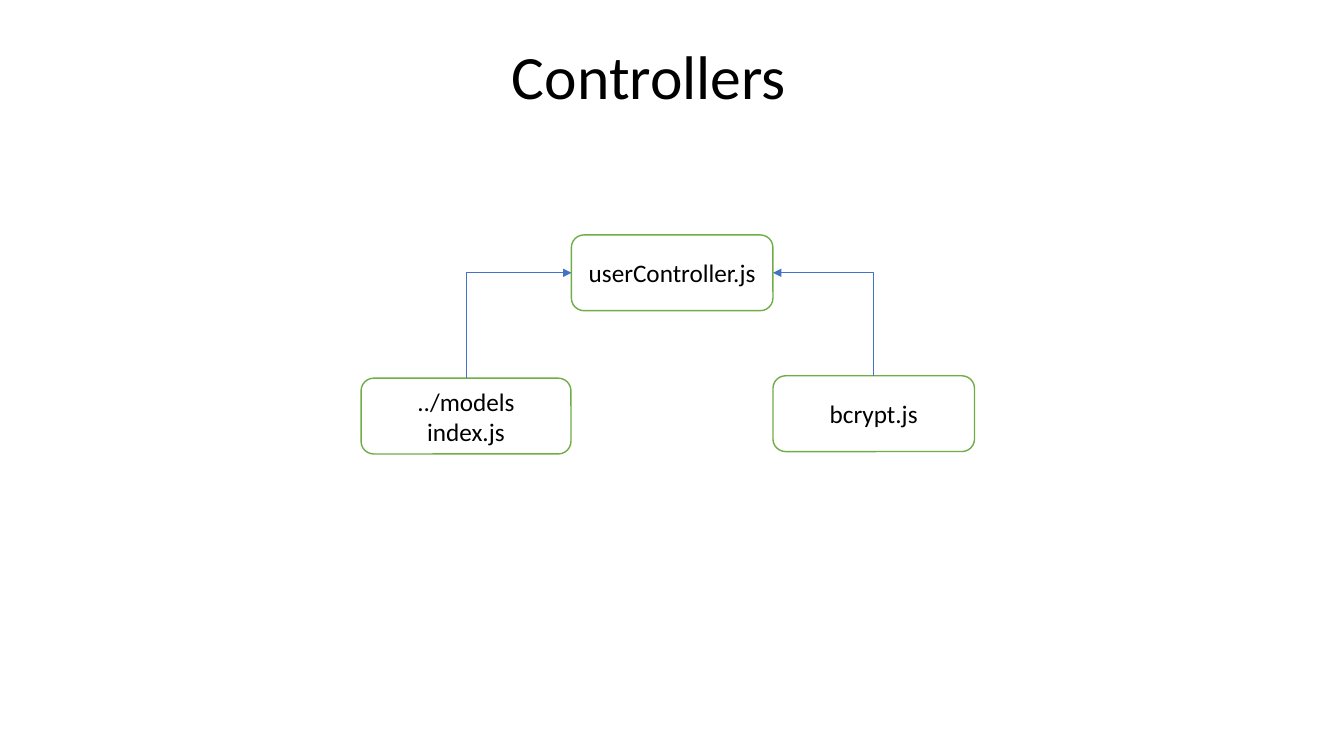
import pptx
import pptx.util
import pptx.dml.color
import pptx.enum.shapes
import pptx.enum.text
import pptx.oxml
import pptx.oxml.ns

Cm = pptx.util.Cm
Pt = pptx.util.Pt

# Content: lengths in cm
HEADING = "Controllers"
HEADING_BOX = (2.34, 1.02, 28.04, 1.98)
MODULE_HEIGHT = 1.91
MODULES = {  # text, left, top, width
    "controller": ("userController.js", 14.4, 5.92, 5.08),
    "models": ("../models\vindex.js", 9.1, 9.53, 5.29),
    "bcrypt": ("bcrypt.js", 19.48, 9.47, 5.08),
}
TOP, LEFT, RIGHT = 0, 1, 3  # connection sites of a module box
IMPORTS = [  # imported module, site on the controller, rotation, flips
    ("models", LEFT, 90, {"flipH": "1", "flipV": "1"}),
    ("bcrypt", RIGHT, 270, {"flipV": "1"}),
]
FONT = "Calibri"
BLACK, WHITE, GREEN, BLUE = "000000", "FFFFFF", "70AD47", "4472C4"


def rgb(code):
    return pptx.dml.color.RGBColor.from_string(code)


def style_text(frame, size):
    frame.word_wrap = True
    frame.vertical_anchor = pptx.enum.text.MSO_ANCHOR.MIDDLE
    for paragraph in frame.paragraphs:
        paragraph.alignment = pptx.enum.text.PP_ALIGN.CENTER
        paragraph.font.name = FONT
        paragraph.font.size = Pt(size)
        paragraph.font.color.rgb = rgb(BLACK)


def add_module(slide, text, left, top, width):
    box = slide.shapes.add_shape(
        pptx.enum.shapes.MSO_SHAPE.FLOWCHART_ALTERNATE_PROCESS,
        Cm(left), Cm(top), Cm(width), Cm(MODULE_HEIGHT))
    box.shadow.inherit = False
    box.fill.solid()
    box.fill.fore_color.rgb = rgb(WHITE)
    box.line.color.rgb = rgb(GREEN)
    box.line.width = Pt(1)
    box.text_frame.text = text
    style_text(box.text_frame, 18)
    return box


def add_import(slide, module, controller, site, rotation, flips):
    arrow = slide.shapes.add_connector(
        pptx.enum.shapes.MSO_CONNECTOR.ELBOW, 0, 0, 0, 0)
    arrow.begin_connect(module, TOP)
    arrow.end_connect(controller, site)
    arrow.line.color.rgb = rgb(BLUE)
    arrow.line.width = Pt(0.5)

    # A single bend, up first and then sideways: the frame is turned on its side
    across, up = arrow.width, arrow.height
    centre_x, centre_y = arrow.left + across // 2, arrow.top + up // 2
    arrow.left, arrow.top = centre_x - up // 2, centre_y - across // 2
    arrow.width, arrow.height = up, across
    properties = arrow._element.spPr
    frame = properties.find(pptx.oxml.ns.qn("a:xfrm"))
    for flip in ("flipH", "flipV"):
        frame.set(flip, flips.get(flip, "0"))
    frame.set("rot", str(rotation * 60000))
    properties.find(pptx.oxml.ns.qn("a:prstGeom")).set("prst", "bentConnector2")

    # Arrowhead at the controller, no shadow
    namespace = pptx.oxml.ns.nsdecls("a")
    properties.find(pptx.oxml.ns.qn("a:ln")).append(
        pptx.oxml.parse_xml(f'<a:tailEnd {namespace} type="triangle"/>'))
    properties.append(pptx.oxml.parse_xml(f"<a:effectLst {namespace}/>"))


def main():
    deck = pptx.Presentation()
    deck.slide_width, deck.slide_height = Cm(33.87), Cm(19.05)
    slide = deck.slides.add_slide(deck.slide_layouts.get_by_name("Title Only"))

    # Title
    heading = slide.shapes.title
    heading.left, heading.top, heading.width, heading.height = map(Cm, HEADING_BOX)
    heading.text_frame.text = HEADING
    style_text(heading.text_frame, 44)
    heading.text_frame.paragraphs[0].line_spacing = 0.9

    # Modules and their imports
    boxes = {key: add_module(slide, *module) for key, module in MODULES.items()}
    for key, site, rotation, flips in IMPORTS:
        add_import(slide, boxes[key], boxes["controller"], site, rotation, flips)

    deck.save("out.pptx")


if __name__ == "__main__":
    main()
